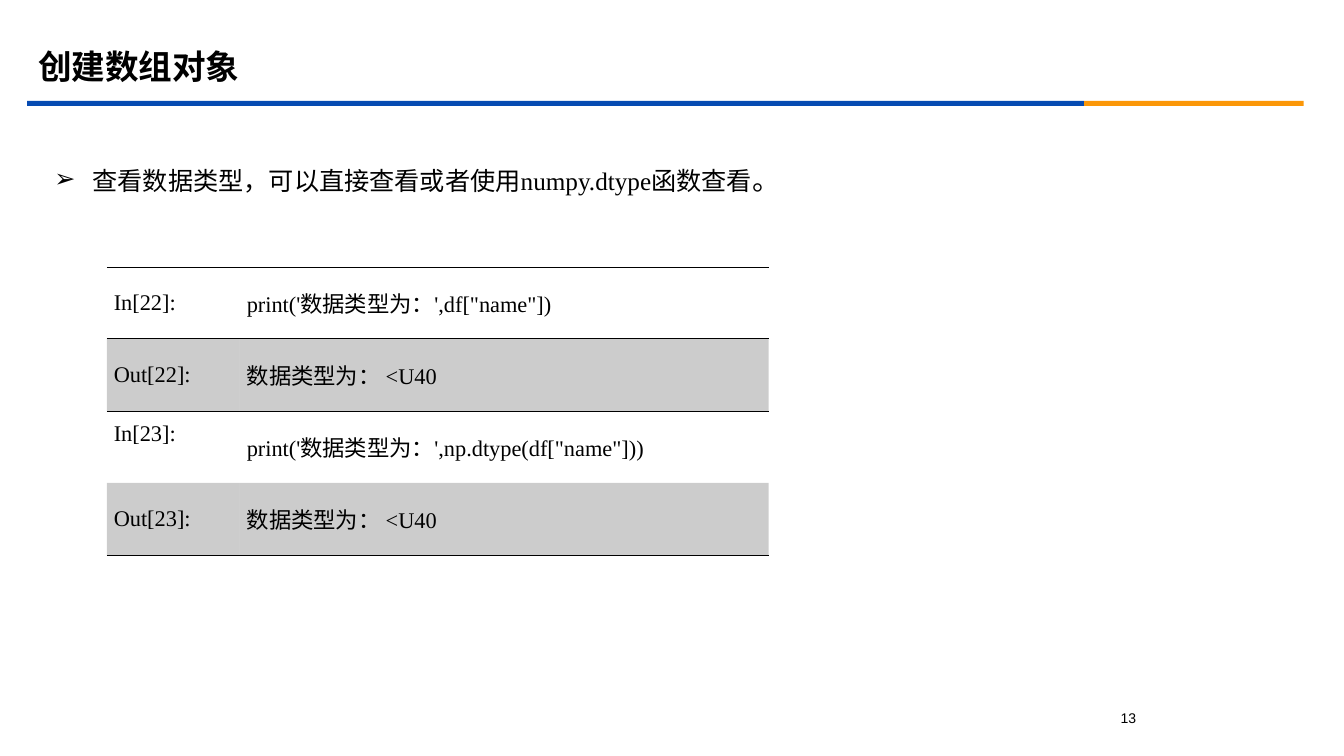
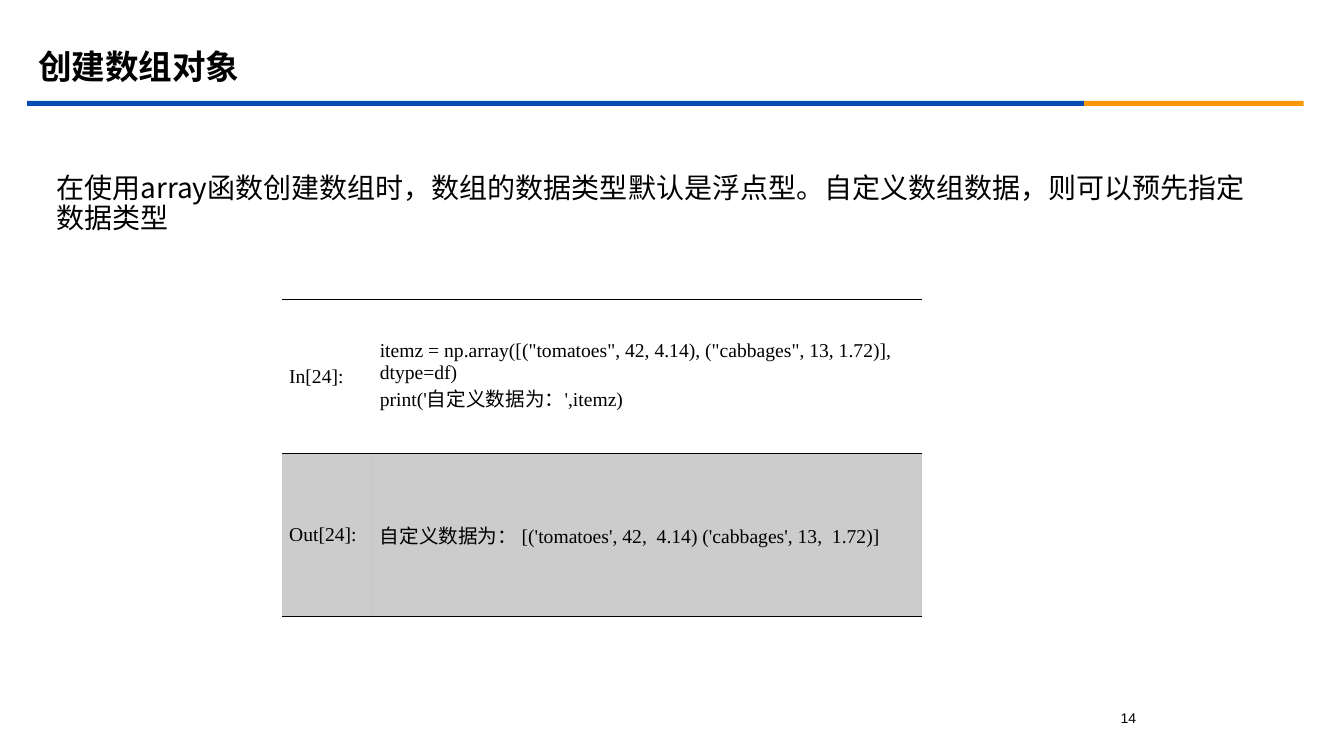
from lxml.etree import SubElement
from pptx import Presentation
from pptx.dml.color import RGBColor
from pptx.enum.shapes import MSO_SHAPE
from pptx.enum.text import MSO_ANCHOR, PP_ALIGN
from pptx.oxml.ns import qn
from pptx.util import Pt

EMU_PER_PX = 9144  # 100 px to the inch

BLACK = "000000"
BLUE = "064BB2"
ORANGE = "FB9708"
SERIF = "Times New Roman"
SANS = "Arial"
CHINESE = "Noto Sans CJK SC"
DISPLAY = "Montserrat"

RULE_TOP, RULE_HEIGHT = 100, 5
RULES = [(27, 1049, BLUE), (1076, 218, ORANGE)]
TITLE = "创建数组对象"
PLAIN_TABLE_STYLE = "{2D5ABB26-0587-4C30-8999-92F81FD0307C}"
BORDER_WIDTH = Pt(0.45)


def px(length):
    return length * EMU_PER_PX


def color(value):
    return RGBColor.from_string(value)


def add_run(paragraph, text, size, font=SERIF, bold=False):
    run = paragraph.add_run()
    run.text = text
    run.font.size = Pt(size)
    run.font.name = font
    run.font.bold = bold
    run.font.color.rgb = color(BLACK)
    east_asian = SubElement(run.font._element, qn("a:ea"))
    east_asian.set("typeface", CHINESE)


def add_text_box(slide, left, top, width, height, anchor=MSO_ANCHOR.MIDDLE):
    """Add a wrapping text box and return its first paragraph."""
    shape = slide.shapes.add_textbox(px(left), px(top), px(width), px(height))
    shape.text_frame.word_wrap = True
    shape.text_frame.vertical_anchor = anchor
    return shape.text_frame.paragraphs[0]


def add_bullet(paragraph, character, indent):
    properties = paragraph._p.get_or_add_pPr()
    properties.set("marL", str(px(indent)))
    properties.set("indent", str(-px(indent)))
    bullet_color = SubElement(properties, qn("a:buClr"))
    SubElement(bullet_color, qn("a:srgbClr")).set("val", BLACK)
    SubElement(properties, qn("a:buFont")).set("typeface", SANS)
    SubElement(properties, qn("a:buChar")).set("char", character)


def add_rule(slide, left, width, fill):
    shape = slide.shapes.add_shape(
        MSO_SHAPE.RECTANGLE, px(left), px(RULE_TOP), px(width), px(RULE_HEIGHT)
    )
    shape.shadow.inherit = False
    shape.fill.solid()
    shape.fill.fore_color.rgb = color(fill)
    shape.line.fill.background()


def add_base_slide(presentation, number, title_font):
    """Add a slide with the shared title, rules and page number."""
    slide = presentation.slides.add_slide(presentation.slide_layouts[6])
    for left, width, fill in RULES:
        add_rule(slide, left, width, fill)

    title = add_text_box(slide, 28, 39, 1200, 58)
    title.line_spacing = 0.9
    add_run(title, TITLE, 24, title_font, bold=True)

    page = add_text_box(slide, 1089, 699, 62, 25, MSO_ANCHOR.TOP)
    page.alignment = PP_ALIGN.CENTER
    add_run(page, str(number), 10, SANS)
    return slide


def add_border(cell, side):
    line = SubElement(cell._tc.get_or_add_tcPr(), qn(f"a:ln{side}"))
    line.set("w", str(BORDER_WIDTH))
    fill = SubElement(line, qn("a:solidFill"))
    SubElement(fill, qn("a:srgbClr")).set("val", BLACK)


def shade(cell):
    """Fill a cell with black at 20 % opacity."""
    cell.fill.solid()
    cell.fill.fore_color.rgb = color(BLACK)
    for fill_color in cell._tc.tcPr.findall(qn("a:solidFill") + "/" + qn("a:srgbClr")):
        SubElement(fill_color, qn("a:alpha")).set("val", "20000")


def fill_cell(cell, lines, size, alignment):
    cell.margin_left = cell.margin_right = px(7)
    cell.margin_top = cell.margin_bottom = px(5)
    cell.vertical_anchor = MSO_ANCHOR.MIDDLE
    for index, line in enumerate(lines):
        frame = cell.text_frame
        paragraph = frame.add_paragraph() if index else frame.paragraphs[0]
        paragraph.alignment = alignment
        add_run(paragraph, line, size)


def add_console(slide, left, top, widths, heights, size, entries):
    """Add a table of (label, lines) entries; every second row, an output, is shaded."""
    table = slide.shapes.add_table(
        len(entries), len(widths), px(left), px(top), px(sum(widths)), px(sum(heights))
    ).table
    table.first_row = table.horz_banding = False
    table._tbl.tblPr.find(qn("a:tableStyleId")).text = PLAIN_TABLE_STYLE
    for column, width in zip(table.columns, widths):
        column.width = px(width)
    for row, height in zip(table.rows, heights):
        row.height = px(height)

    last = len(entries) - 1
    for index, (label, lines) in enumerate(entries):
        label_cell, code_cell = table.rows[index].cells
        fill_cell(label_cell, [label], size, PP_ALIGN.JUSTIFY)
        fill_cell(code_cell, lines, size, PP_ALIGN.LEFT)
        for cell in (label_cell, code_cell):
            if index in (0, 1):
                add_border(cell, "T")
            if index in (0, last):
                add_border(cell, "B")
            if index % 2:
                shade(cell)
            else:
                cell.fill.background()
    return table


def add_type_check_slide(presentation):
    slide = add_base_slide(presentation, 13, SERIF)
    paragraph = add_text_box(slide, 44, 125, 875, 109)
    paragraph.line_spacing = 0.9
    add_bullet(paragraph, "➢", 38)
    add_run(paragraph, "查看数据类型，可以直接查看或者使用numpy.dtype函数查看", 18)
    add_run(paragraph, "。", 20)

    entries = [
        ("In[22]:", ["print('数据类型为：',df[\"name\"])"]),
        ("Out[22]:", ["数据类型为： <U40"]),
        ("In[23]:", ["print('数据类型为：',np.dtype(df[\"name\"]))"]),
        ("Out[23]:", ["数据类型为： <U40"]),
    ]
    table = add_console(slide, 106, 265, [132, 525], [71, 72, 71, 72], 16, entries)
    raised_label = table.cell(2, 0)
    raised_label.vertical_anchor = MSO_ANCHOR.TOP
    raised_label.margin_top = px(10)


def add_custom_type_slide(presentation):
    slide = add_base_slide(presentation, 14, DISPLAY)
    paragraph = add_text_box(slide, 46, 124, 1215, 157)
    paragraph.line_spacing = 0.9
    add_run(
        paragraph,
        "在使用array函数创建数组时，数组的数据类型默认是浮点型。"
        "自定义数组数据，则可以预先指定数据类型",
        20,
        CHINESE,
    )

    entries = [
        ("In[24]:", [
            'itemz = np.array([("tomatoes", 42, 4.14), ("cabbages", 13, 1.72)], dtype=df)',
            "print('自定义数据为：',itemz)",
        ]),
        ("Out[24]:", ["自定义数据为： [('tomatoes', 42,  4.14) ('cabbages', 13,  1.72)]"]),
    ]
    add_console(slide, 280, 297, [90, 545], [153, 161], 14, entries)


def main():
    presentation = Presentation()
    presentation.slide_width = px(1334)
    presentation.slide_height = px(750)
    add_type_check_slide(presentation)
    add_custom_type_slide(presentation)
    presentation.save("out.pptx")


if __name__ == "__main__":
    main()
